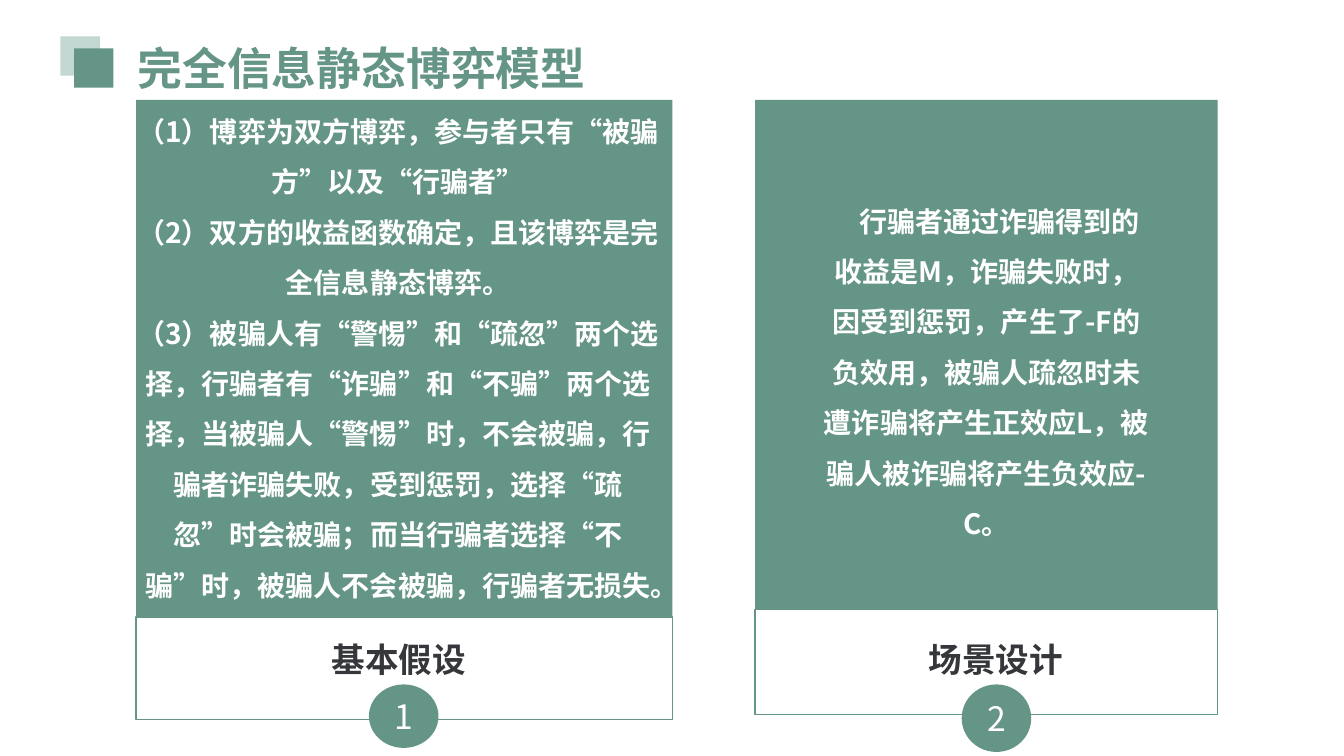
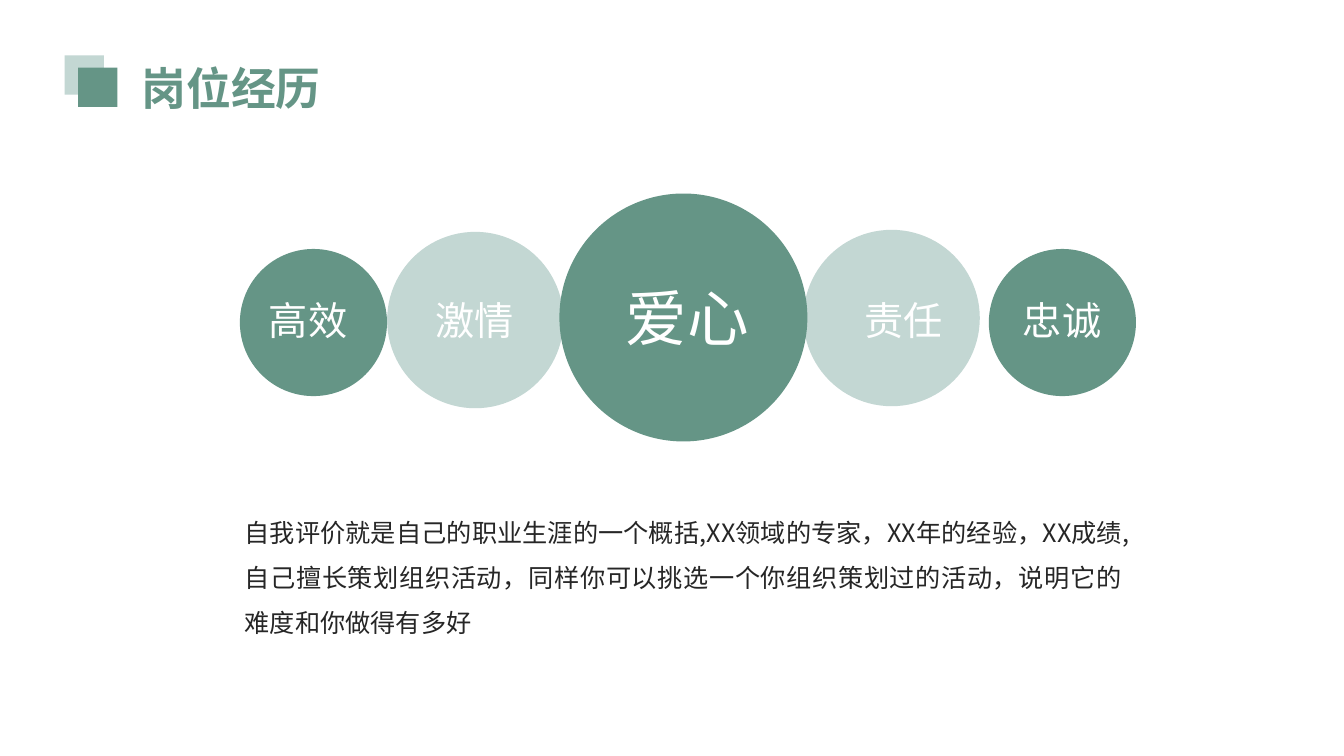
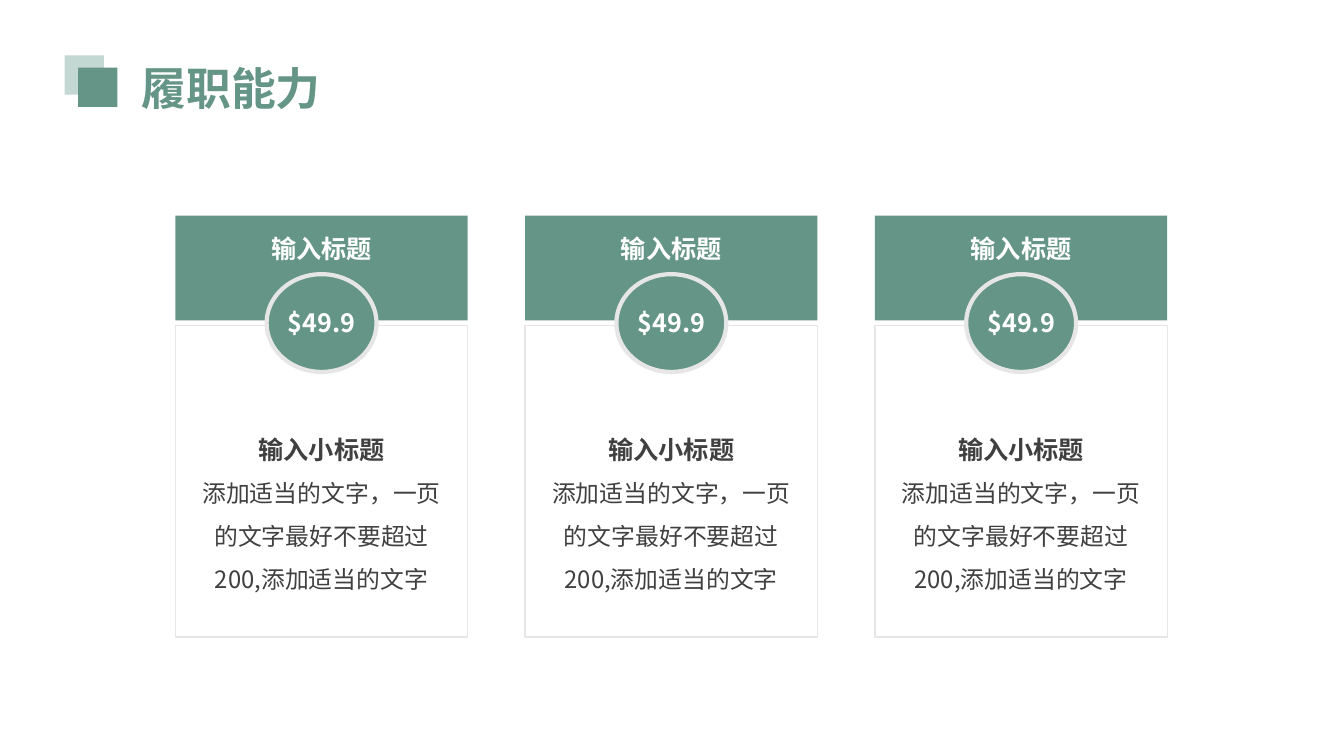
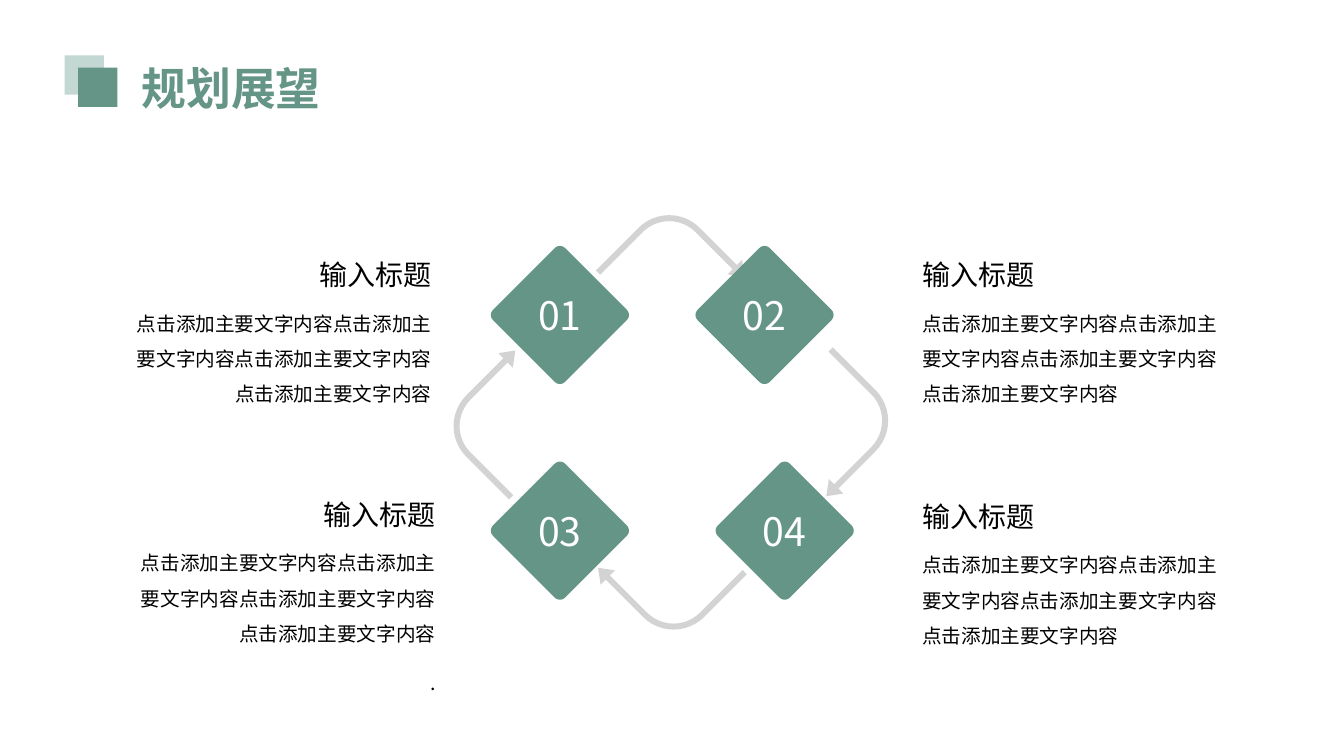
import math
from lxml import etree
from pptx import Presentation
from pptx import util as u
from pptx.dml.color import RGBColor
from pptx.enum import shapes, text
from pptx.oxml.ns import qn

CELL = u.Inches(0.1)
GREEN, PALE, WHITE = "659586", "C3D7D3", "FFFFFF"
INK, DARK, GREY, BLACK = "36373B", "262626", "404040", "000000"
EDGE, TRACK = "E7E6E6", "B2B2B2"
FONT = "Noto Sans CJK SC"
KIND, ALIGN = shapes.MSO_SHAPE, text.PP_ALIGN


def hue(code):
    """Turn a hex string into a colour."""
    return RGBColor.from_string(code)


def grid(*cells):
    """Turn grid cells into lengths."""
    return [round(c * CELL) for c in cells]


def paint(shape, fill, edge=None, width=1):
    """Give a shape its fill and line, without shadow."""
    shape.shadow.inherit = False
    shape.fill.solid()
    shape.fill.fore_color.rgb = hue(fill)
    if edge:
        shape.line.color.rgb = hue(edge)
        shape.line.width = u.Pt(width)
    else:
        shape.line.fill.background()
    return shape


def form(page, kind, box, fill, edge=None, width=1):
    """Add a preset shape in a grid box."""
    return paint(page.add_shape(kind, *grid(*box)), fill, edge, width)


def para(frame, words, size, tone, bold=False, align=ALIGN.LEFT,
         lead=None, before=None, face=FONT):
    """Write one paragraph, using the empty first one when there is one."""
    first = frame.paragraphs[0]
    item = frame.add_paragraph() if first.runs else first
    item.alignment = align
    if lead:
        item.line_spacing = lead
    if before:
        item.space_before = u.Pt(before)
    run = item.add_run()
    run.text = words
    font = run.font
    font.name, font.size, font.bold = face, u.Pt(size), bold
    font.color.rgb = hue(tone)
    east = etree.SubElement(run._r.get_or_add_rPr(), qn("a:ea"))
    east.set("typeface", FONT)
    return item


def frame(page, box, wrap=True, grow=True, inset=None):
    """Add a text box and return its text frame."""
    area = page.add_textbox(*grid(*box)).text_frame
    area.word_wrap = wrap
    if grow:
        area.auto_size = text.MSO_AUTO_SIZE.SHAPE_TO_FIT_TEXT
    if inset:
        (area.margin_left, area.margin_top,
         area.margin_right, area.margin_bottom) = grid(*inset)
    return area


def label(shape, words, size):
    """Centre white words in a shape."""
    area = shape.text_frame
    area.vertical_anchor = text.MSO_ANCHOR.MIDDLE
    para(area, words, size, WHITE, align=ALIGN.CENTER)


def head(page, words, x=6.4, y=5.5, w=22.1):
    """Draw the slide title with its two squares."""
    group = page.add_group_shape().shapes
    form(group, KIND.RECTANGLE, (x, y, 3.9, 3.9), PALE)
    form(group, KIND.RECTANGLE, (x + 1.35, y + 1.2, 3.9, 3.9), GREEN)
    para(frame(group, (x + 6.65, y, w, 6.4)), words, 32, GREEN, True)


def panel(page, box, foot, name, mark):
    """Draw a green panel with a named foot and a numbered badge."""
    x, y, w, h = box
    base = y + h
    form(page, KIND.RECTANGLE, box, GREEN)
    form(page, KIND.RECTANGLE, (x, base, w, foot), WHITE, GREEN)
    words, mid, wide = name
    digit, spot, tall = mark
    badge = form(page, KIND.OVAL, (spot - 3.45, 67.9, 6.9, tall), GREEN)
    label(badge, digit, 24)
    area = frame(page, (mid - wide / 2, 62.9, wide, 5))
    para(area, words, 24, INK, True, ALIGN.CENTER)


def story(page, box, lines, indent=0):
    """Write the white centred text of a panel."""
    area = frame(page, box)
    for line in lines:
        item = para(area, line, 20, WHITE, True, ALIGN.CENTER, 1.5)
        if indent:
            item._p.get_or_add_pPr().set("indent", str(grid(indent)[0]))


def model(page):
    """Build the game model slide."""
    head(page, "完全信息静态博弈模型", 6, 3.6, 55.2)
    panel(page, (74.9, 9.9, 45.9, 50.6), 10.4,
          ("场景设计", 98.8, 25.8), ("2", 98.85, 6.7))
    panel(page, (13.5, 9.9, 53.2, 51.3), 10.2,
          ("基本假设", 39.55, 32.1), ("1", 40.05, 6.3))
    story(page, (80.4, 18.1, 34.9, 36.3), [
        "行骗者通过诈骗得到的收益是M，诈骗失败时，因受到惩罚，产生了-F的负效用，"
        "被骗人疏忽时未遭诈骗将产生正效应L，被骗人被诈骗将产生负效应-C。"], 2.6)
    story(page, (12.3, 9.2, 54.4, 56.5), [
        "（1）博弈为双方博弈，参与者只有“被骗方”以及“行骗者”",
        "（2）双方的收益函数确定，且该博弈是完全信息静态博弈。",
        "（3）被骗人有“警惕”和“疏忽”两个选择，行骗者有“诈骗”和“不骗”两个选择，"
        "当被骗人“警惕”时，不会被骗，行骗者诈骗失败，受到惩罚，选择“疏忽”时会被骗；"
        "而当行骗者选择“不骗”时，被骗人不会被骗，行骗者无损失。"])


def disc(page, x, y, wide, fill, words, spot, size=28):
    """Draw a circle and the word over it."""
    form(page, KIND.OVAL, (x, y, wide, wide), fill)
    para(frame(page, spot, wrap=False), words, size, WHITE)


def career(page):
    """Build the slide of five circles."""
    head(page, "岗位经历")
    for x, y, wide, fill, words, left in (
            (98.1, 24.7, 14.6, GREEN, "忠诚", 100.5),
            (23.8, 24.7, 14.6, GREEN, "高效", 25.7),
            (38.4, 23, 17.5, PALE, "激情", 42.2),
            (79.7, 22.8, 17.5, PALE, "责任", 84.8)):
        disc(page, x, y, wide, fill, words, (left, 28.9, 9.9, 5.7))
    disc(page, 55.5, 19.2, 24.6, GREEN, "爱心", (61.1, 27.3, 14.4, 8.4), 44)
    para(frame(page, (23.3, 49.3, 89, 14.6)),
         "自我评价就是自己的职业生涯的一个概括,XX领域的专家，XX年的经验，XX成绩,"
         "自己擅长策划组织活动，同样你可以挑选一个你组织策划过的活动，"
         "说明它的难度和你做得有多好", 18, DARK, align=ALIGN.JUSTIFY, lead=1.5)


def card(page, x, y):
    """Draw a price card."""
    group = page.add_group_shape().shapes
    form(group, KIND.RECTANGLE, (x, y + 10.9, 29, 30.9), WHITE, EDGE)
    form(group, KIND.RECTANGLE, (x, y, 29, 10.4), GREEN)
    form(group, KIND.OVAL, (x + 9.05, y + 5.8, 10.9, 9.7), GREEN, EDGE, 3)
    for words, down, wide in (("输入标题", 1.7, 11.4), ("$49.9", 9.1, 7.8)):
        spot = (x + 14.5 - wide / 2, y + down, wide, 3.5)
        area = frame(group, spot, False, inset=(0, 0, 0, 0.5))
        para(area, words, 18, WHITE, True, ALIGN.CENTER)
    area = frame(page, (x + 1.35, y + 19.5, 26.3, 18.3),
                 inset=(1.3, 0.7, 1.3, 0.7))
    para(area, "输入小标题", 18, GREY, True, ALIGN.CENTER, 1.5)
    para(area, "添加适当的文字，一页的文字最好不要超过200,添加适当的文字",
         17, GREY, align=ALIGN.CENTER, lead=1.5)


def skill(page):
    """Build the slide of three cards."""
    head(page, "履职能力")
    for col in range(3):
        card(page, 17.4 + 34.7 * col, 21.4)


def gem(page, x, y, words, wide=13.7, round_by=0.72):
    """Draw a diamond with rounded corners around its number."""
    half = wide / 2
    arm = half - round_by
    dots = []
    for turn in range(0, 360, 90):
        a = math.radians(turn)
        for step in range(-45, 46, 15):
            b = math.radians(turn + step)
            dots.append(grid(
                x + half + arm * math.cos(a) + round_by * math.cos(b),
                y + half + arm * math.sin(a) + round_by * math.sin(b)))
    path = page.build_freeform(*dots[0], scale=1.0)
    path.add_line_segments(dots[1:], close=True)
    label(paint(path.convert_to_shape(), GREEN), words, 28)


def bend(page, x, y, turn):
    """Draw a see-through bent arrow."""
    arrow = form(page, KIND.BENT_ARROW, (x, y, 10.9, 11), TRACK)
    arrow.rotation = turn
    for i, share in enumerate((0.055, 0.093, 0.127, 0.395)):
        arrow.adjustments[i] = share
    tint = arrow._element.spPr.find(qn("a:solidFill"))[0]
    etree.SubElement(tint, qn("a:alpha")).set("val", "56000")


def note(page, x, y, align, face=FONT):
    """Write a heading with its text."""
    area = frame(page, (x, y, 32.8, 10.5), grow=False)
    para(area, "输入标题", 20, BLACK, align=align, lead=1.5)
    para(area, "点击添加主要文字内容" * 4, 14, BLACK, align=align,
         lead=1.5, before=6, face=face)
    return area


def plan(page):
    """Build the slide of the four-step cycle."""
    head(page, "规划展望")
    for x, y, turn in ((61.4, 21.3, 45), (77.2, 36.7, 135),
                       (60.9, 51.5, 225), (45, 36.3, 315)):
        bend(page, x, y, turn)
    for x, y, words in ((71, 45.8, "04"), (69, 24.4, "02"),
                        (48.7, 24.4, "01"), (48.7, 45.8, "03")):
        gem(page, x, y, words)
    for y in (23.4, 47.4):
        note(page, 90.5, y, ALIGN.LEFT)
    note(page, 11, 23.4, ALIGN.RIGHT, "Roboto")
    last = note(page, 11.4, 47.2, ALIGN.RIGHT)
    para(last, ".", 14, BLACK, align=ALIGN.RIGHT, lead=1.5, before=10)


def main():
    """Build and save the deck."""
    deck = Presentation()
    deck.slide_width, deck.slide_height = grid(133.33, 75)
    for build in (model, career, skill, plan):
        build(deck.slides.add_slide(deck.slide_layouts[6]).shapes)
    deck.save("out.pptx")


if __name__ == "__main__":
    main()
